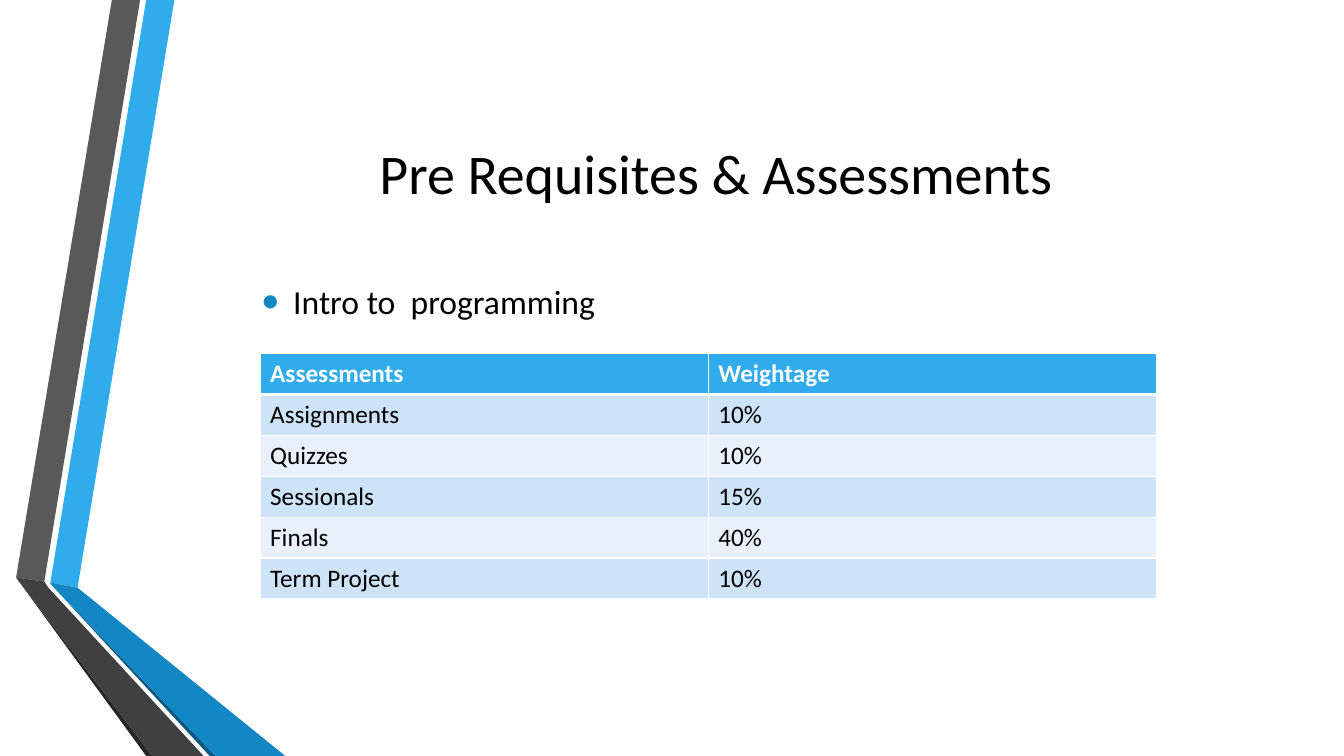
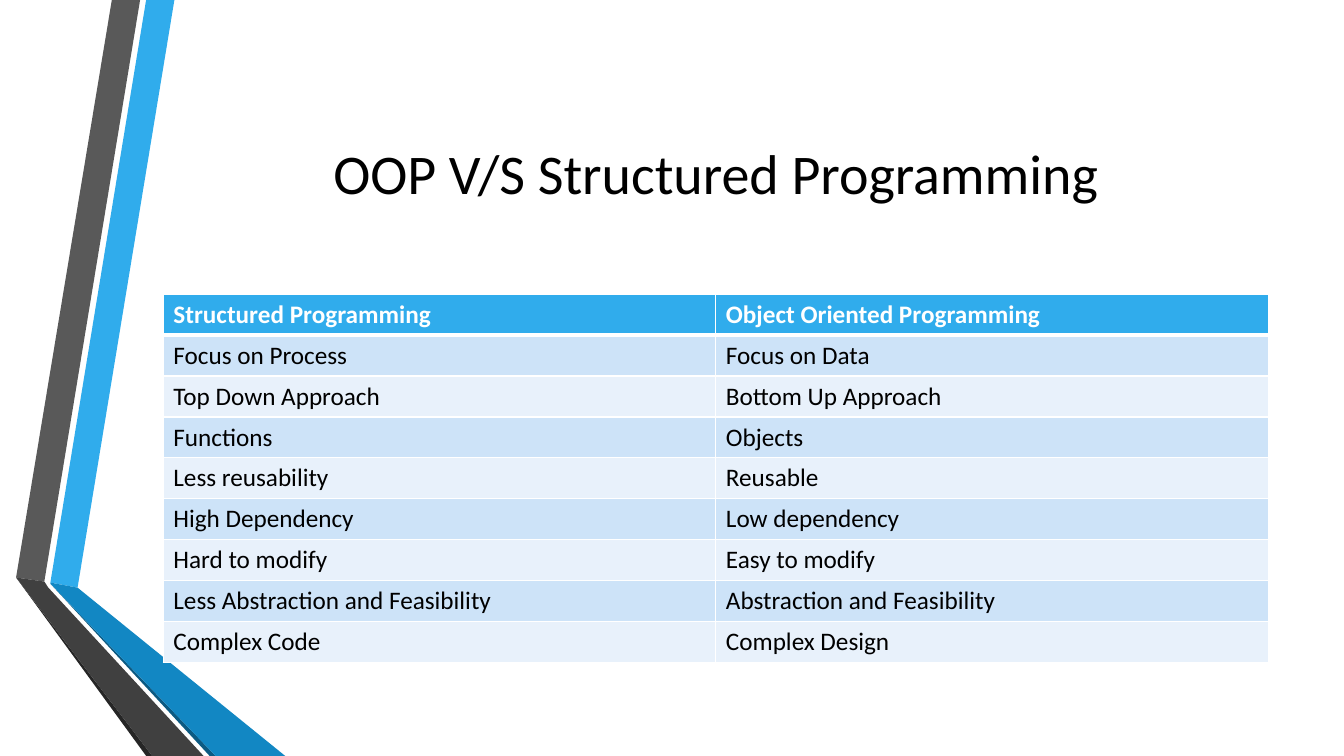
from lxml.etree import SubElement
from pptx import Presentation
from pptx.dml.color import RGBColor
from pptx.enum.text import MSO_ANCHOR, PP_ALIGN
from pptx.oxml.ns import qn
from pptx.util import Pt

PX = 9144  # 100 px to the inch
SLIDE_WIDTH, SLIDE_HEIGHT = 1333, 750
TITLE_BOX = (162, 75, 1096, 192)
ROW_HEIGHT = 41
FONT = "Calibri"
COLORS = {
    "blue": "30ACEC",
    "deep_blue": "1287C3",
    "navy": "0C5A82",
    "gray": "595959",
    "dark_gray": "404040",
    "charcoal": "262626",
    "band_dark": "CDE3F8",
    "band_light": "E8F1FB",
    "white": "FFFFFF",
    "black": "000000",
}
RIBBONS = [
    ("blue", [(50, 578), (77, 583), (173, 0), (145, 0)]),
    ("gray", [(139, 0), (111, 0), (16, 573), (44, 577)]),
    ("charcoal", [(16, 573), (145, 750), (151, 750)]),
    ("navy", [(50, 579), (208, 750), (214, 750)]),
    ("deep_blue", [(50, 578), (50, 579), (214, 750), (283, 750), (77, 583)]),
    ("dark_gray", [(202, 750), (48, 583), (44, 577), (16, 573), (151, 750)]),
]
ASSESSMENTS = [
    ("Assessments", "Weightage"),
    ("Assignments", "10%"),
    ("Quizzes", "10%"),
    ("Sessionals", "15%"),
    ("Finals", "40%"),
    ("Term Project", "10%"),
]
COMPARISON = [
    ("Structured Programming", "Object Oriented Programming"),
    ("Focus on Process", "Focus on Data"),
    ("Top Down Approach", "Bottom Up Approach"),
    ("Functions", "Objects"),
    ("Less reusability", "Reusable"),
    ("High Dependency", "Low dependency"),
    ("Hard to modify", "Easy to modify"),
    ("Less Abstraction and Feasibility", "Abstraction and Feasibility"),
    ("Complex Code", "Complex Design"),
]


def rgb(name):
    return RGBColor.from_string(COLORS[name])


def emu(box):
    return [length * PX for length in box]


def set_text(text_frame, text, size, color="black", bold=False):
    """Fill the frame with one formatted paragraph and return it."""
    text_frame.text = text
    paragraph = text_frame.paragraphs[0]
    font = paragraph.runs[0].font
    font.name, font.size, font.bold = FONT, Pt(size), bold
    font.color.rgb = rgb(color)
    return paragraph


def add_ribbons(slide):
    for color, points in RIBBONS:
        builder = slide.shapes.build_freeform(*points[0], scale=PX)
        builder.add_line_segments(points[1:], close=True)
        ribbon = builder.convert_to_shape()
        ribbon.shadow.inherit = False
        ribbon.fill.solid()
        ribbon.fill.fore_color.rgb = rgb(color)
        ribbon.line.fill.background()


def add_titled_slide(presentation, title):
    slide = presentation.slides.add_slide(presentation.slide_layouts[5])
    add_ribbons(slide)
    placeholder = slide.shapes.title
    placeholder.left, placeholder.top, placeholder.width, placeholder.height = emu(TITLE_BOX)
    text_frame = placeholder.text_frame
    text_frame.vertical_anchor = MSO_ANCHOR.MIDDLE
    set_text(text_frame, title, 40).alignment = PP_ALIGN.CENTER
    return slide


def add_bullet(slide, box, text):
    text_frame = slide.shapes.add_textbox(*emu(box)).text_frame
    text_frame.word_wrap = True
    text_frame.vertical_anchor = MSO_ANCHOR.MIDDLE
    paragraph = set_text(text_frame, text, 24)
    paragraph.space_before, paragraph.space_after = Pt(5), Pt(6)
    properties = paragraph._p.get_or_add_pPr()
    indent = 31 * PX
    properties.set("marL", str(indent))
    properties.set("indent", str(-indent))
    bullet_color = SubElement(properties, qn("a:buClr"))
    SubElement(bullet_color, qn("a:srgbClr"), val=COLORS["deep_blue"])
    SubElement(properties, qn("a:buSzPct"), val="145000")
    SubElement(properties, qn("a:buFont"), typeface="Arial")
    SubElement(properties, qn("a:buChar"), char="•")


def set_borders(cell, top, bottom):
    """Draw white cell borders; top and bottom are widths in points."""
    properties = cell._tc.get_or_add_tcPr()
    for side, width in (("L", 1), ("R", 1), ("T", top), ("B", bottom)):
        line = SubElement(properties, qn(f"a:ln{side}"), w=str(Pt(width)))
        fill = SubElement(line, qn("a:solidFill"))
        SubElement(fill, qn("a:srgbClr"), val=COLORS["white"])


def add_banded_table(slide, left, top, width, rows):
    box = (left, top, width, ROW_HEIGHT * len(rows))
    table = slide.shapes.add_table(len(rows), len(rows[0]), *emu(box)).table
    for row_index, row in enumerate(rows):
        header = row_index == 0
        band = "blue" if header else ("band_light", "band_dark")[row_index % 2]
        for column_index, text in enumerate(row):
            cell = table.cell(row_index, column_index)
            set_borders(cell, top=3 if row_index == 1 else 1, bottom=3 if header else 1)
            cell.fill.solid()
            cell.fill.fore_color.rgb = rgb(band)
            set_text(cell.text_frame, text, 18, "white" if header else "black", header)
    for table_row in table.rows:
        table_row.height = round(40.55 * PX)


def add_assessment_slide(presentation):
    slide = add_titled_slide(presentation, "Pre Requisites & Assessments")
    add_bullet(slide, (250, 257, 992, 84), "Intro to  programming")
    add_banded_table(slide, 258, 351, 889, ASSESSMENTS)


def add_comparison_slide(presentation):
    slide = add_titled_slide(presentation, "OOP V/S Structured Programming")
    add_banded_table(slide, 162, 292, 1096, COMPARISON)


def main():
    presentation = Presentation()
    presentation.slide_width, presentation.slide_height = emu((SLIDE_WIDTH, SLIDE_HEIGHT))
    add_assessment_slide(presentation)
    add_comparison_slide(presentation)
    presentation.save("out.pptx")


if __name__ == "__main__":
    main()
